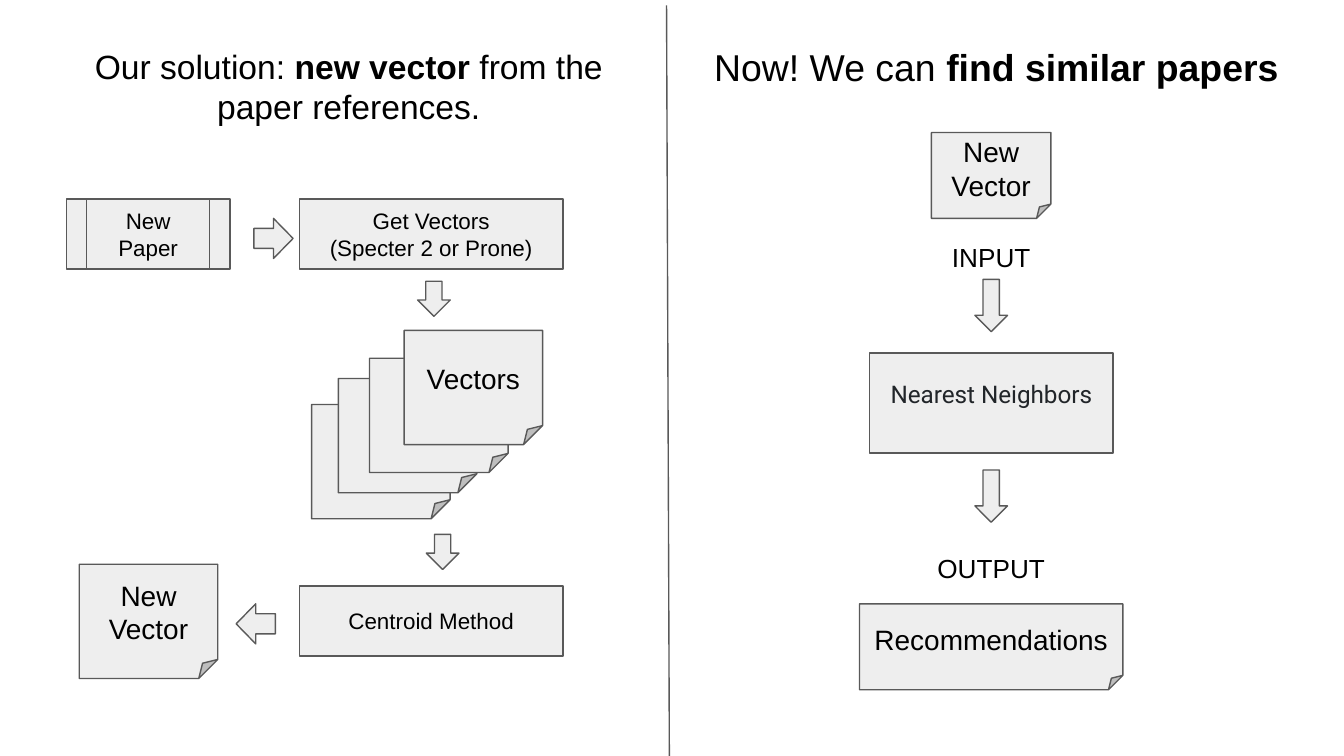
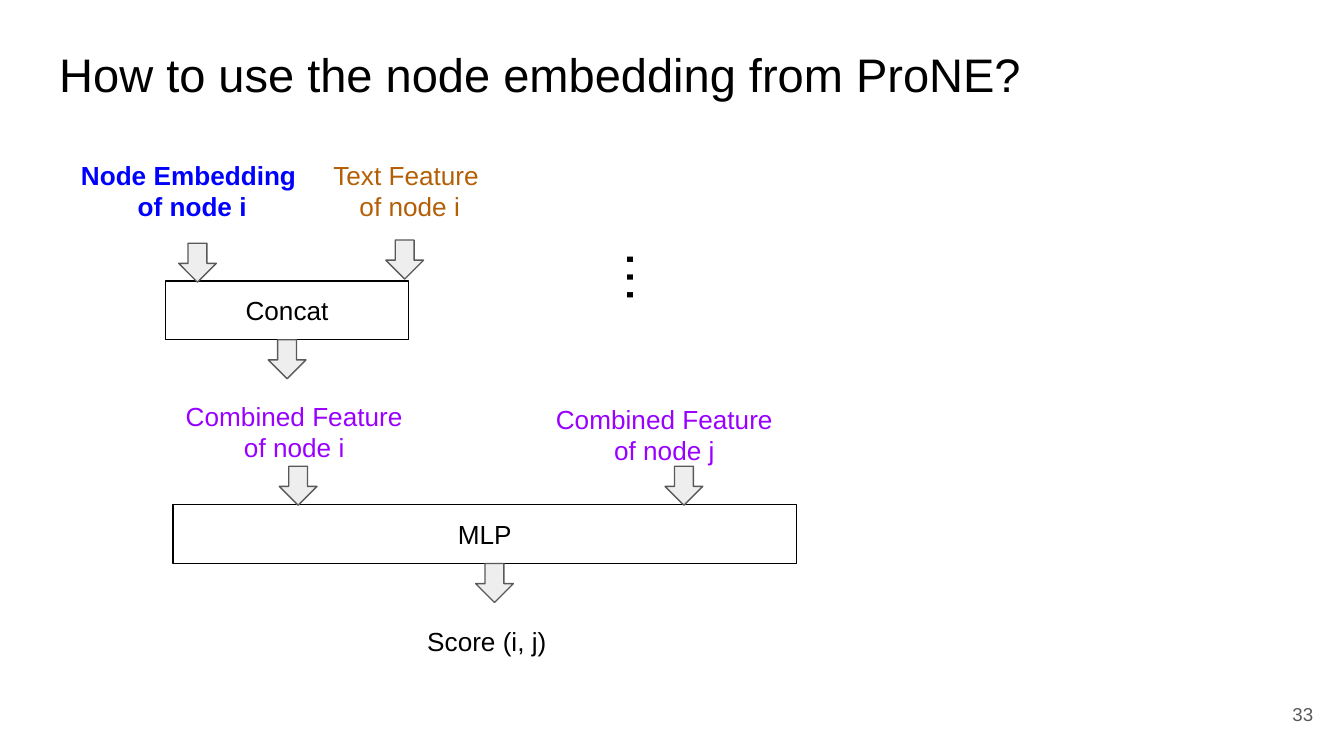
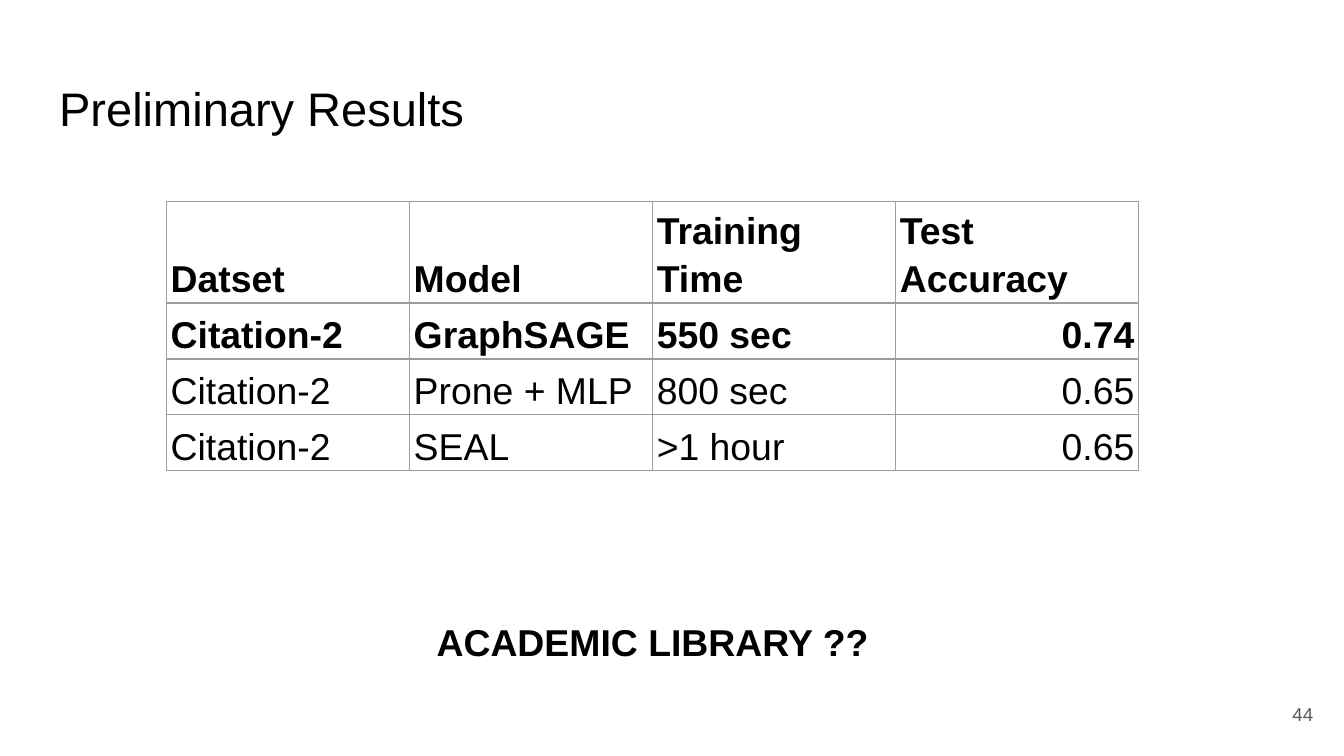
import pptx
import pptx.dml.color
import pptx.enum.shapes
import pptx.enum.text
import pptx.oxml
import pptx.oxml.ns
import pptx.util

Pt = pptx.util.Pt
RGBColor = pptx.dml.color.RGBColor
SHAPE = pptx.enum.shapes.MSO_SHAPE
ALIGN = pptx.enum.text.PP_ALIGN
ANCHOR = pptx.enum.text.MSO_ANCHOR
AUTO_SIZE = pptx.enum.text.MSO_AUTO_SIZE

BLACK = RGBColor(0x00, 0x00, 0x00)
GRAY = RGBColor(0x59, 0x59, 0x59)
PALE = RGBColor(0xEE, 0xEE, 0xEE)
INK = RGBColor(0x21, 0x25, 0x29)
BLUE = RGBColor(0x00, 0x00, 0xFF)
BROWN = RGBColor(0xB4, 0x5F, 0x06)
PURPLE = RGBColor(0x99, 0x00, 0xFF)
GRID = RGBColor(0x9E, 0x9E, 0x9E)

PAGE_SIZE = (720, 405)
INSET = 7.2
STROKE = 0.75
NUMBER_FRAME = (667.4, 367.2, 43.2, 31)

SOLUTION_TITLE = [("Our solution: ", False), ("new vector", True), (" from the paper references.", False)]
SEARCH_TITLE = [("Now! We can ", False), ("find similar papers", True)]
DIVIDER = (357.1, 2.9, 358.6, 405)

PROCESS_SIZE = (141.1, 37.5)
NOTE_SIZE = (74.2, 61.2)
SOLUTION_STEPS = [
    (SHAPE.FLOWCHART_PREDEFINED_PROCESS, ["New Paper"], 12, (35.5, 106.6), (87.8, 37.5)),
    (SHAPE.FLOWCHART_PROCESS, ["Centroid Method"], 12, (160.5, 313.9), PROCESS_SIZE),
    (SHAPE.FLOWCHART_PROCESS, ["Get Vectors", "(Specter 2 or Prone)"], 12, (160.5, 106.6), PROCESS_SIZE),
    (SHAPE.FOLDED_CORNER, [], 15, (167, 216.7), NOTE_SIZE),
    (SHAPE.FOLDED_CORNER, [], 15, (181.3, 202.8), NOTE_SIZE),
    (SHAPE.FOLDED_CORNER, [], 15, (198, 191.9), NOTE_SIZE),
    (SHAPE.FOLDED_CORNER, ["Vectors"], 15, (216.5, 177), NOTE_SIZE),
    (SHAPE.FOLDED_CORNER, ["New", "Vector"], 15, (42.5, 302.3), NOTE_SIZE),
    (SHAPE.RIGHT_ARROW, [], 12, (136, 117), (21, 21.5)),
    (SHAPE.DOWN_ARROW, [], 12, (223.7, 150.7), (17.5, 18.8)),
    (SHAPE.DOWN_ARROW, [], 12, (228.4, 286.3), (17.5, 18.8)),
    (SHAPE.LEFT_ARROW, [], 12, (126.5, 323.5), (21, 21.5)),
]

SEARCH_CENTER = 531
SEARCH_STEPS = [
    (SHAPE.FOLDED_CORNER, ["New", "Vector"], 71, (64, 46)),
    (SHAPE.DOWN_ARROW, [], 149.7, (17.5, 28)),
    (SHAPE.DOWN_ARROW, [], 251.8, (17.5, 28)),
    (SHAPE.FOLDED_CORNER, ["Recommendations"], 323.5, (141.1, 46)),
]
NEIGHBORS = ("Nearest Neighbors", 189.2, (130.3, 53.5))
SEARCH_LABELS = [("INPUT", 122.4), ("OUTPUT", 288.7)]

EMBEDDING_TITLE = [("How to use the node embedding from ProNE?", False)]
FEATURES = [
    (["Combined Feature", "of node i"], PURPLE, False, (69.1, 207.2, 177.1, 48.2)),
    (["Node Embedding ", "of node i"], BLUE, True, (31.7, 78, 142.6, 48.2)),
    (["Text Feature ", "of node i"], BROWN, False, (159.8, 78, 119.5, 48.2)),
    (["Combined Feature", "of node j"], PURPLE, False, (267.4, 208.8, 177.1, 48.2)),
]
LAYERS = [("Concat", (88.6, 150.5, 130.3, 31.4)), ("MLP", (92.7, 270.4, 334.1, 31.4))]
FLOW_ARROWS = [(95.7, 130.3), (143.7, 182), (206.7, 128.6), (149.6, 249.8), (356.3, 249.8), (254.8, 301.9)]

RESULTS_TITLE = [("Preliminary Results", False)]
RESULTS = [
    ("Datset", "Model", "Training Time", "Test Accuracy"),
    ("Citation-2", "GraphSAGE", "550 sec", "0.74"),
    ("Citation-2", "Prone + MLP", "800 sec", "0.65"),
    ("Citation-2", "SEAL", ">1 hour", "0.65"),
]
BOLD_ROWS = 2
COLUMN_WIDTH = 130.2
ROW_HEIGHTS = (54, 30, 30, 30)


def style(span, size, color=BLACK, bold=False, face="Arial"):
    span.font.name = face
    span.font.size = Pt(size)
    span.font.bold = bold
    span.font.color.rgb = color


def write(box, lines, size, align=ALIGN.CENTER, anchor=ANCHOR.TOP, **look):
    frame = box.text_frame
    frame.word_wrap = True
    frame.auto_size = AUTO_SIZE.NONE
    frame.vertical_anchor = anchor
    frame.margin_left = frame.margin_right = frame.margin_top = frame.margin_bottom = Pt(INSET)
    for index, line in enumerate(lines):
        para = frame.add_paragraph() if index else frame.paragraphs[0]
        para.alignment = align
        spans = [(line, look.get("bold", False))] if isinstance(line, str) else line
        for text, bold in spans:
            span = para.add_run()
            span.text = text
            style(span, size, **{**look, "bold": bold})


def add_text(page, frame, lines, size, **look):
    box = page.shapes.add_textbox(*map(Pt, frame))
    write(box, lines, size, **look)
    return box


def add_block(page, kind, frame, fill=PALE, line=GRAY):
    box = page.shapes.add_shape(kind, *map(Pt, frame))
    box.shadow.inherit = False
    if fill is None:
        box.fill.background()
    else:
        box.fill.solid()
        box.fill.fore_color.rgb = fill
    box.line.color.rgb = line
    box.line.width = Pt(STROKE)
    return box


def add_step(page, kind, lines, size, frame, **look):
    box = add_block(page, kind, frame)
    if lines:
        write(box, lines, size, anchor=ANCHOR.MIDDLE, **look)
    return box


def add_page(deck, title, frame, size, align=ALIGN.LEFT, number=None):
    page = deck.slides.add_slide(deck.slide_layouts[5])
    box = page.shapes.title
    box.left, box.top, box.width, box.height = map(Pt, frame)
    write(box, [title], size, align=align)
    if number:
        add_text(page, NUMBER_FRAME, [number], 10, align=ALIGN.RIGHT, anchor=ANCHOR.MIDDLE, color=GRAY)
    return page


def centered(top, size):
    return (SEARCH_CENTER - size[0] / 2, top, *size)


def build_solution(deck):
    page = add_page(deck, SOLUTION_TITLE, (24.5, 17.3, 324.7, 61.2), 18, ALIGN.CENTER)
    divider = page.shapes.add_connector(pptx.enum.shapes.MSO_CONNECTOR.STRAIGHT, *map(Pt, DIVIDER))
    divider.line.color.rgb = GRAY
    divider.line.width = Pt(STROKE)
    divider._element.spPr.append(pptx.oxml.parse_xml("<a:effectLst %s/>" % pptx.oxml.ns.nsdecls("a")))
    for kind, lines, text_size, corner, size in SOLUTION_STEPS:
        add_step(page, kind, lines, text_size, corner + size)
    for kind, lines, top, size in SEARCH_STEPS:
        add_step(page, kind, lines, 15, centered(top, size))
    name, top, size = NEIGHBORS
    neighbors = add_step(page, SHAPE.FLOWCHART_PROCESS, [name], 13, centered(top, size), color=INK, face="Roboto")
    neighbors.text_frame.margin_bottom = Pt(INSET + 10)
    for label, top in SEARCH_LABELS:
        add_text(page, centered(top, (98, 21.6)), [label], 14)
    add_text(page, (371.5, 16.6, 324.7, 46), [SEARCH_TITLE], 20)


def build_embedding(deck):
    page = add_page(deck, EMBEDDING_TITLE, (24.5, 17.3, 627.8, 45.4), 25.2, number="33")
    for lines, color, bold, frame in FEATURES:
        add_text(page, frame, lines, 14, color=color, bold=bold)
    for name, frame in LAYERS:
        write(add_block(page, SHAPE.RECTANGLE, frame, None, BLACK), [name], 14)
    for corner in FLOW_ARROWS:
        add_block(page, SHAPE.DOWN_ARROW, (*corner, 20.2, 20.9))
    add_text(page, (221.8, 327.6, 100.8, 31.7), ["Score (i, j)"], 14, align=ALIGN.LEFT)
    dots = add_text(page, (312.5, 136.1, 70.6, 51.1), ["…"], 30, align=ALIGN.LEFT)
    dots.rotation = 90


def add_borders(cell):
    properties = cell._tc.get_or_add_tcPr()
    for side in ("lnL", "lnR", "lnT", "lnB"):
        properties.append(pptx.oxml.parse_xml(
            '<a:%s %s w="%d"><a:solidFill><a:srgbClr val="%s"/></a:solidFill></a:%s>'
            % (side, pptx.oxml.ns.nsdecls("a"), Pt(STROKE), GRID, side)))


def build_results(deck):
    page = add_page(deck, RESULTS_TITLE, (24.5, 35.3, 671, 45.4), 25.2, number="44")
    columns = len(RESULTS[0])
    frame = (89.2, 108, COLUMN_WIDTH * columns, sum(ROW_HEIGHTS))
    table = page.shapes.add_table(len(RESULTS), columns, *map(Pt, frame)).table
    table.first_row = table.horz_banding = False
    for column in table.columns:
        column.width = Pt(COLUMN_WIDTH)
    for index, values in enumerate(RESULTS):
        table.rows[index].height = Pt(ROW_HEIGHTS[index])
        for position, value in enumerate(values):
            cell = table.cell(index, position)
            add_borders(cell)
            cell.fill.background()
            cell.vertical_anchor = ANCHOR.BOTTOM
            cell.margin_left = cell.margin_right = Pt(2.25)
            cell.margin_top = cell.margin_bottom = Pt(1.5)
            para = cell.text_frame.paragraphs[0]
            numeric = index > 0 and position == columns - 1
            para.alignment = ALIGN.RIGHT if numeric else ALIGN.LEFT
            para.line_spacing = 1.15
            span = para.add_run()
            span.text = value
            style(span, 20, bold=index < BOLD_ROWS)
    add_text(page, (226.8, 324.7, 275.8, 43.9), ["ACADEMIC LIBRARY ??"], 20, align=ALIGN.LEFT, bold=True)


def main():
    deck = pptx.Presentation()
    deck.slide_width, deck.slide_height = map(Pt, PAGE_SIZE)
    build_solution(deck)
    build_embedding(deck)
    build_results(deck)
    deck.save("out.pptx")


if __name__ == "__main__":
    main()
